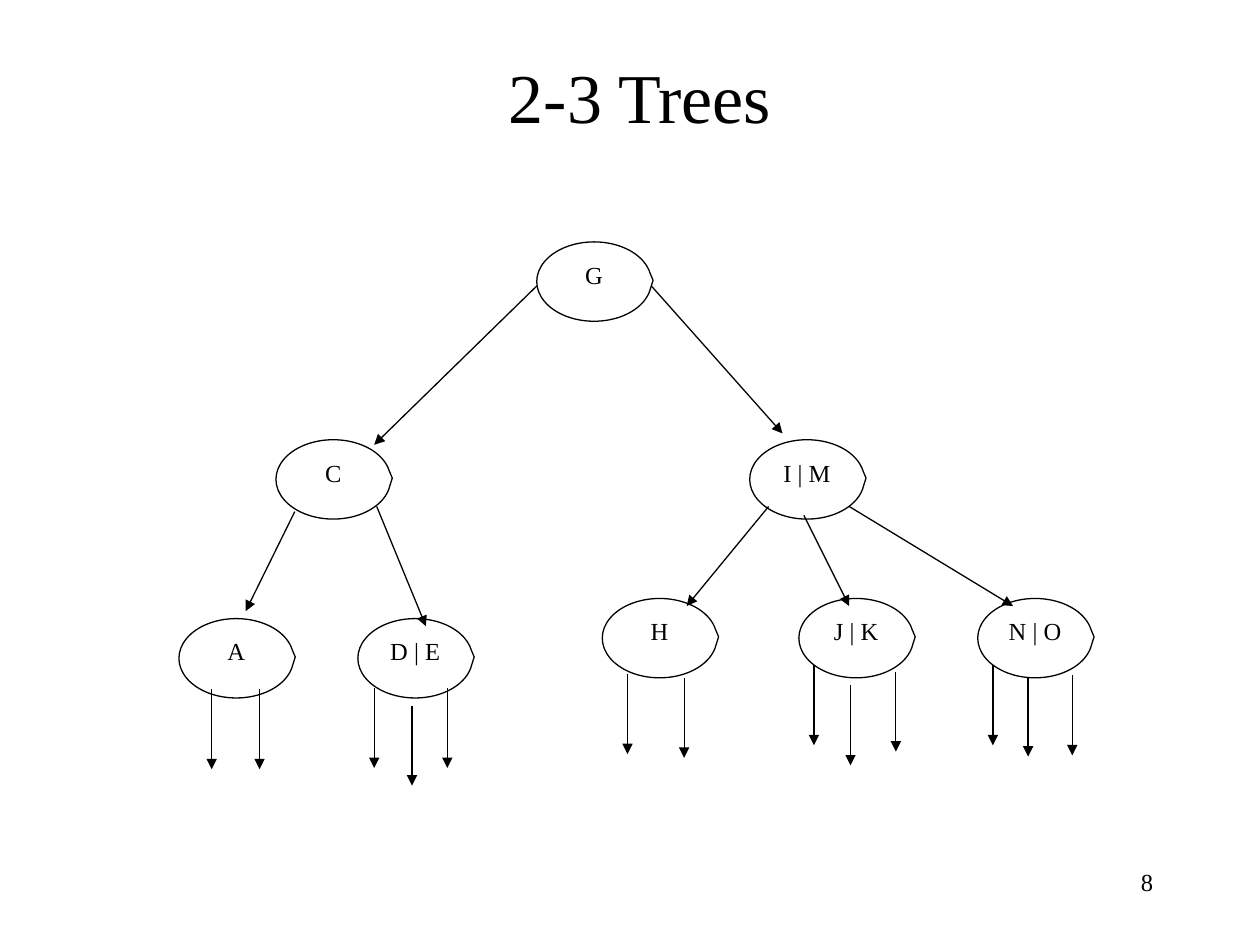
"""Build the 2-3 tree slide."""
from lxml import etree
from pptx import Presentation
from pptx import util as u
from pptx.dml.color import RGBColor
from pptx.enum import shapes, text
from pptx.oxml.ns import qn

BLACK = RGBColor(0x00, 0x00, 0x00)
WHITE = RGBColor(0xFF, 0xFF, 0xFF)
FONT = "Times New Roman"
WIDTH, HEIGHT = u.Inches(10), u.Inches(7.5)
COLUMN, ROW = WIDTH / 100, HEIGHT / 75
NODE_SIZE = (9.1, 6.3)
POINTER_DROP = 6.35

NODES = {
    "G": (42.6, 19.2),
    "I | M": (59.5, 34.9),
    "J | K": (63.4, 47.5),
    "C": (21.9, 34.9),
    "D | E": (28.4, 49.1),
    "A": (14.2, 49.1),
    "H": (47.8, 47.5),
    "N | O": (77.6, 47.5),
}
BRANCHES = [
    ((42.6, 22.7), (29.7, 35.3)),
    ((51.7, 22.7), (62.1, 34.4)),
    ((23.4, 40.6), (19.5, 48.5)),
    ((29.9, 40.2), (33.8, 49.7)),
    ((61.0, 40.2), (54.5, 48.1)),
    ((63.8, 40.9), (67.4, 48.1)),
    ((67.4, 40.2), (80.4, 48.1)),
]
LEAF_POINTERS = [
    (16.8, 54.7), (20.6, 54.7),
    (29.7, 54.6), (32.7, 56.0), (35.5, 54.6),
    (49.8, 53.5), (54.3, 53.8),
    (64.6, 52.8), (67.5, 54.4), (71.1, 53.3),
    (78.8, 52.8), (81.6, 53.7), (85.1, 53.6),
]


def place(column, row):
    """Return the slide position of a grid point."""
    return u.Emu(round(column * COLUMN)), u.Emu(round(row * ROW))


def write(shape, words, size=14, align=text.PP_ALIGN.CENTER, anchor=text.MSO_ANCHOR.TOP):
    """Put one formatted paragraph in a shape."""
    frame = shape.text_frame
    frame.word_wrap = True
    frame.auto_size = text.MSO_AUTO_SIZE.NONE
    frame.vertical_anchor = anchor
    paragraph = frame.paragraphs[0]
    paragraph.text = words
    paragraph.alignment = align
    paragraph.font.name = FONT
    paragraph.font.size = u.Pt(size)
    paragraph.font.color.rgb = BLACK


def add_title(slide, words):
    """Move and fill the title placeholder."""
    title = slide.shapes.title
    title.left, title.top = place(8.3, 4.2)
    title.width, title.height = place(85, 6.7)
    write(title, words, size=40, anchor=text.MSO_ANCHOR.MIDDLE)


def add_page_number(slide, words):
    """Add the page number at the lower right."""
    box = slide.shapes.add_textbox(*place(71.7, 68.3), *place(20.8, 5))
    write(box, words, align=text.PP_ALIGN.RIGHT)


def add_node(slide, label, corner):
    """Add a tree node with its keys."""
    node = slide.shapes.add_shape(
        shapes.MSO_SHAPE.OVAL_CALLOUT, *place(*corner), *place(*NODE_SIZE))
    node.adjustments[0], node.adjustments[1] = 0.515, -0.016
    node.shadow.inherit = False
    node.fill.solid()
    node.fill.fore_color.rgb = WHITE
    node.line.color.rgb = BLACK
    node.line.width = u.Pt(0.75)
    write(node, label)


def add_arrow(slide, start, end):
    """Add a straight arrow between two grid points."""
    arrow = slide.shapes.add_connector(
        shapes.MSO_CONNECTOR.STRAIGHT, *place(*start), *place(*end))
    arrow.line.color.rgb = BLACK
    arrow.line.width = u.Pt(0.75)
    etree.SubElement(arrow.line._get_or_add_ln(), qn("a:tailEnd"), type="triangle")
    etree.SubElement(arrow._element.spPr, qn("a:effectLst"))


def main():
    """Build and save the slide."""
    presentation = Presentation()
    presentation.slide_width, presentation.slide_height = WIDTH, HEIGHT
    slide = presentation.slides.add_slide(presentation.slide_layouts[5])
    add_page_number(slide, "8")
    add_title(slide, "2-3 Trees")
    for label, corner in NODES.items():
        add_node(slide, label, corner)
    for start, end in BRANCHES:
        add_arrow(slide, start, end)
    for column, row in LEAF_POINTERS:
        add_arrow(slide, (column, row), (column, row + POINTER_DROP))
    presentation.save("out.pptx")


if __name__ == "__main__":
    main()
